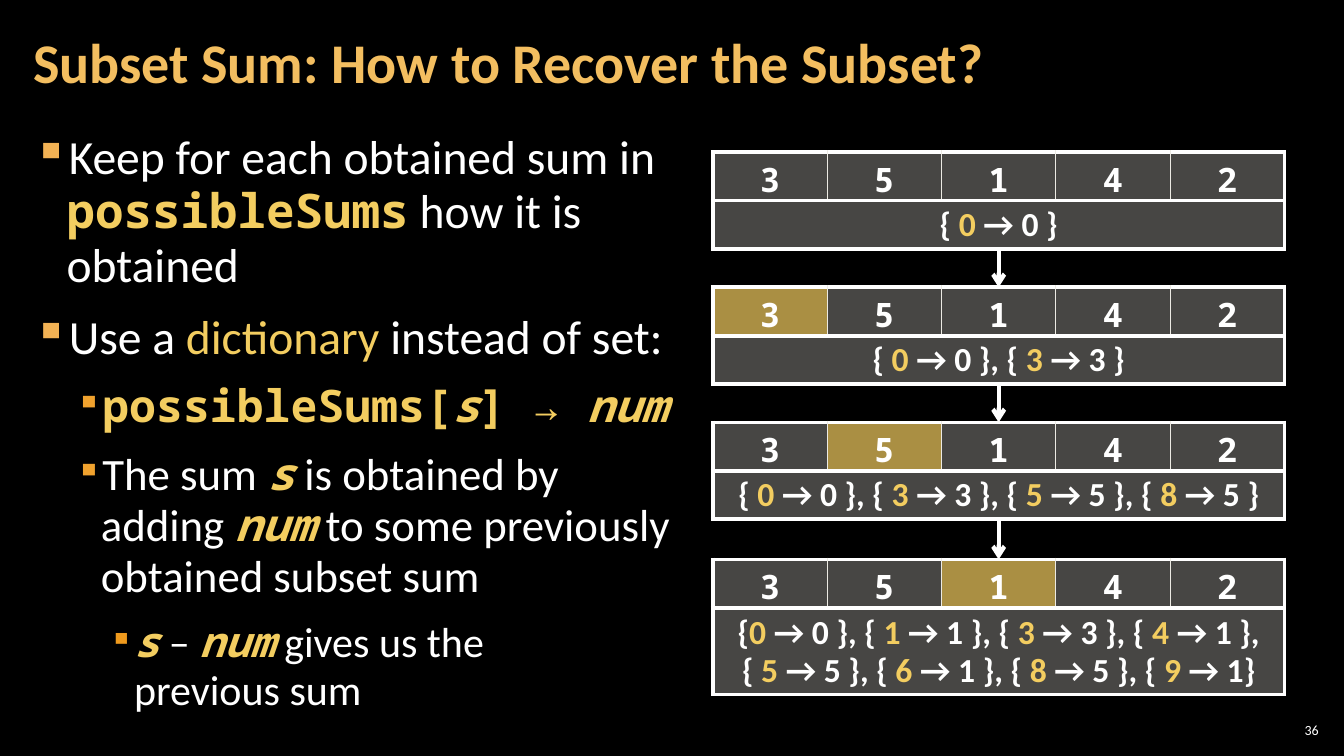
from lxml.etree import SubElement
from pptx import Presentation
from pptx.dml.color import RGBColor
from pptx.enum.shapes import MSO_CONNECTOR
from pptx.enum.text import MSO_ANCHOR, PP_ALIGN
from pptx.oxml import parse_xml
from pptx.oxml.ns import nsdecls, qn
from pptx.util import Inches, Pt

COLORS = {
    "background": "000000", "text": "FFFFFF", "title": "F3BE60", "gold": "F3CD60",
    "cell": "ECEAE3", "bullet 0": "F2B254", "bullet 1": "F0A22E", "bullet 2": "EF9A1D",
}
SANS, MONO = "Calibri", "Noto Sans Mono"
NUMBERS = [3, 5, 1, 4, 2]
STAGES = [
    (1.51, None, [{0: 0}]),
    (2.85, 0, [{0: 0, 3: 3}]),
    (4.19, 1, [{0: 0, 3: 3, 5: 5, 8: 5}]),
    (5.55, 2, [{0: 0, 1: 1, 3: 3, 4: 1}, {5: 5, 6: 1, 8: 5, 9: 1}]),
]
LEVELS = [(0.33, 0.33, 100), (0.67, 0.25, 80), (1, 0.25, 80)]
POINTS = [
    (0, 34, [("Keep for each obtained sum in ", "plain"), ("possibleSums", "code"),
             (" how it is obtained", "plain")]),
    (0, 34, [("Use a ", "plain"), ("dictionary ", "gold"), ("instead of set:", "plain")]),
    (1, 32, [("possibleSums[", "code"), ("s", "variable"), ("] → ", "code"),
             ("num", "variable")]),
    (1, 32, [("The sum ", "plain"), ("s", "variable"), (" is obtained by adding ", "plain"),
             ("num", "variable"), (" to some previously obtained subset sum", "plain")]),
    (2, 30, [("s", "variable"), (" – ", "plain"), ("num", "variable"),
             (" gives us the", "plain"), None, ("previous sum", "plain")]),
]
STYLES = {
    "plain": (SANS, "text", False, False),
    "gold": (SANS, "gold", False, False),
    "code": (MONO, "gold", True, False),
    "variable": (MONO, "gold", True, True),
}


def color(name):
    """Return the named colour."""
    return RGBColor.from_string(COLORS[name])


def add_run(paragraph, text, size, font_name, color_name, bold=False, italic=False):
    """Append one formatted run to a paragraph."""
    run = paragraph.add_run()
    run.text = text
    run.font.size = Pt(size)
    run.font.name = font_name
    run.font.bold, run.font.italic = bold, italic
    run.font.color.rgb = color(color_name)


def add_text_frame(slide, box, side_inset, anchor):
    """Add a wrapping text box and return its text frame."""
    frame = slide.shapes.add_textbox(*map(Inches, box)).text_frame
    frame.word_wrap = True
    frame.vertical_anchor = anchor
    frame.margin_left = frame.margin_right = Inches(side_inset)
    frame.margin_top = frame.margin_bottom = Inches(0.04)
    return frame


def add_title(slide, box):
    """Add the slide title."""
    paragraph = add_text_frame(slide, box, 0.12, MSO_ANCHOR.MIDDLE).paragraphs[0]
    paragraph.line_spacing = 0.9
    add_run(paragraph, "Subset Sum: How to Recover the Subset?", 40, SANS, "title", True)


def add_slide_number(slide, box):
    """Add the slide number."""
    paragraph = add_text_frame(slide, box, 0.04, MSO_ANCHOR.MIDDLE).paragraphs[0]
    paragraph.alignment = PP_ALIGN.RIGHT
    add_run(paragraph, "36", 10, SANS, "text")


def set_bullet(paragraph, level):
    """Give a paragraph the bullet and indent of its level."""
    left, hanging, percent = LEVELS[level]
    paragraph.level = level
    properties = paragraph._p.get_or_add_pPr()
    properties.set("marL", str(Inches(left)))
    properties.set("indent", str(-Inches(hanging)))
    bullet_color = SubElement(properties, qn("a:buClr"))
    SubElement(bullet_color, qn("a:srgbClr"), val=COLORS[f"bullet {level}"])
    SubElement(properties, qn("a:buSzPct"), val=str(percent * 1000))
    SubElement(properties, qn("a:buChar"), char="▪")


def add_points(slide, box):
    """Add the bulleted explanation."""
    frame = add_text_frame(slide, box, 0.12, MSO_ANCHOR.TOP)
    for index, (level, size, runs) in enumerate(POINTS):
        paragraph = frame.add_paragraph() if index else frame.paragraphs[0]
        set_bullet(paragraph, level)
        paragraph.line_spacing = 0.95
        paragraph.space_before = Pt(6 if index else 0)
        paragraph.space_after = Pt(6)
        for run in runs:
            if run is None:
                paragraph.add_line_break()
            else:
                text, style = run
                add_run(paragraph, text, size, *STYLES[style])


def style_cell(cell, fill_name, opacity, outer_left=True, outer_right=True):
    """Fill and border a cell, with thin lines on its inner sides."""
    cell.fill.solid()
    cell.fill.fore_color.rgb = color(fill_name)
    properties = cell._tc.get_or_add_tcPr()
    fill_color = properties.find(f".//{qn('a:srgbClr')}")
    SubElement(fill_color, qn("a:alpha"), val=str(opacity * 1000))
    sides = [("L", outer_left), ("R", outer_right), ("T", True), ("B", True)]
    for index, (side, outer) in enumerate(sides):
        width, name = (3, "text") if outer else (1, "cell")
        properties.insert(index, parse_xml(
            f'<a:ln{side} {nsdecls("a")} w="{Pt(width)}"><a:solidFill>'
            f'<a:srgbClr val="{COLORS[name]}"/></a:solidFill></a:ln{side}>'))


def add_row(slide, box, columns):
    """Add a one-row table and return its cells."""
    table = slide.shapes.add_table(1, columns, *map(Inches, box)).table
    table.first_row = table.horz_banding = False
    cells = list(table.rows[0].cells)
    for cell in cells:
        paragraph = cell.text_frame.paragraphs[0]
        paragraph.alignment = PP_ALIGN.CENTER
        paragraph.line_spacing = 0.95
    return cells


def add_numbers(slide, box, current):
    """Add the row of numbers with the current one highlighted."""
    cells = add_row(slide, box, len(NUMBERS))
    for index, (cell, number) in enumerate(zip(cells, NUMBERS)):
        fill = ("gold", 70) if index == current else ("cell", 30)
        style_cell(cell, *fill, index == 0, index == len(NUMBERS) - 1)
        add_run(cell.text_frame.paragraphs[0], str(number), 24, MONO, "text", True)


def add_sums(slide, box, lines):
    """Add the row of sums, each with the number that led to it."""
    cell = add_row(slide, box, 1)[0]
    style_cell(cell, "cell", 30)
    paragraph = cell.text_frame.paragraphs[0]
    tight = len(lines) > 1
    for line_index, sums in enumerate(lines):
        last_line = line_index == len(lines) - 1
        if line_index:
            paragraph.add_line_break()
        opening = "{" if tight and not line_index else "{ "
        add_run(paragraph, opening, 24, SANS, "text", True)
        for index, (total, number) in enumerate(sums.items(), 1):
            if index < len(sums):
                ending = " }, { "
            elif last_line:
                ending = "}" if tight else " }"
            else:
                ending = " },"
            add_run(paragraph, f"{total} ", 24, SANS, "gold", True)
            add_run(paragraph, f"→ {number}{ending}", 24, SANS, "text", True)


def add_arrow(slide, x, top, bottom):
    """Add a downward arrow between two stages."""
    arrow = slide.shapes.add_connector(
        MSO_CONNECTOR.STRAIGHT, Inches(x), Inches(top), Inches(x), Inches(bottom))
    arrow.line.width = Pt(3)
    arrow.line.color.rgb = color("text")
    SubElement(arrow.line._get_or_add_ln(), qn("a:tailEnd"), type="arrow")
    SubElement(arrow._element.spPr, qn("a:effectLst"))


def add_stages(slide, left, width):
    """Add the stages of the algorithm and the arrows joining them."""
    row_height, extra_line = 0.48, 0.38
    for index, (top, current, lines) in enumerate(STAGES):
        add_numbers(slide, (left, top, width, row_height), current)
        sums_height = row_height + extra_line * (len(lines) - 1)
        add_sums(slide, (left, top + row_height, width, sums_height), lines)
        if index < len(STAGES) - 1:
            next_top = STAGES[index + 1][0]
            add_arrow(slide, left + width / 2, top + 2 * row_height, next_top)


def main():
    """Build and save the slide."""
    presentation = Presentation()
    presentation.slide_width, presentation.slide_height = Inches(13.33), Inches(7.5)
    slide = presentation.slides.add_slide(presentation.slide_layouts[6])
    slide.background.fill.solid()
    slide.background.fill.fore_color.rgb = color("background")
    add_slide_number(slide, (12.65, 7.14, 0.47, 0.21))
    add_points(slide, (0.21, 1.26, 6.71, 6.09))
    add_title(slide, (0.21, 0.04, 10.47, 1.21))
    add_stages(slide, 7.07, 5.67)
    presentation.save("out.pptx")


if __name__ == "__main__":
    main()
